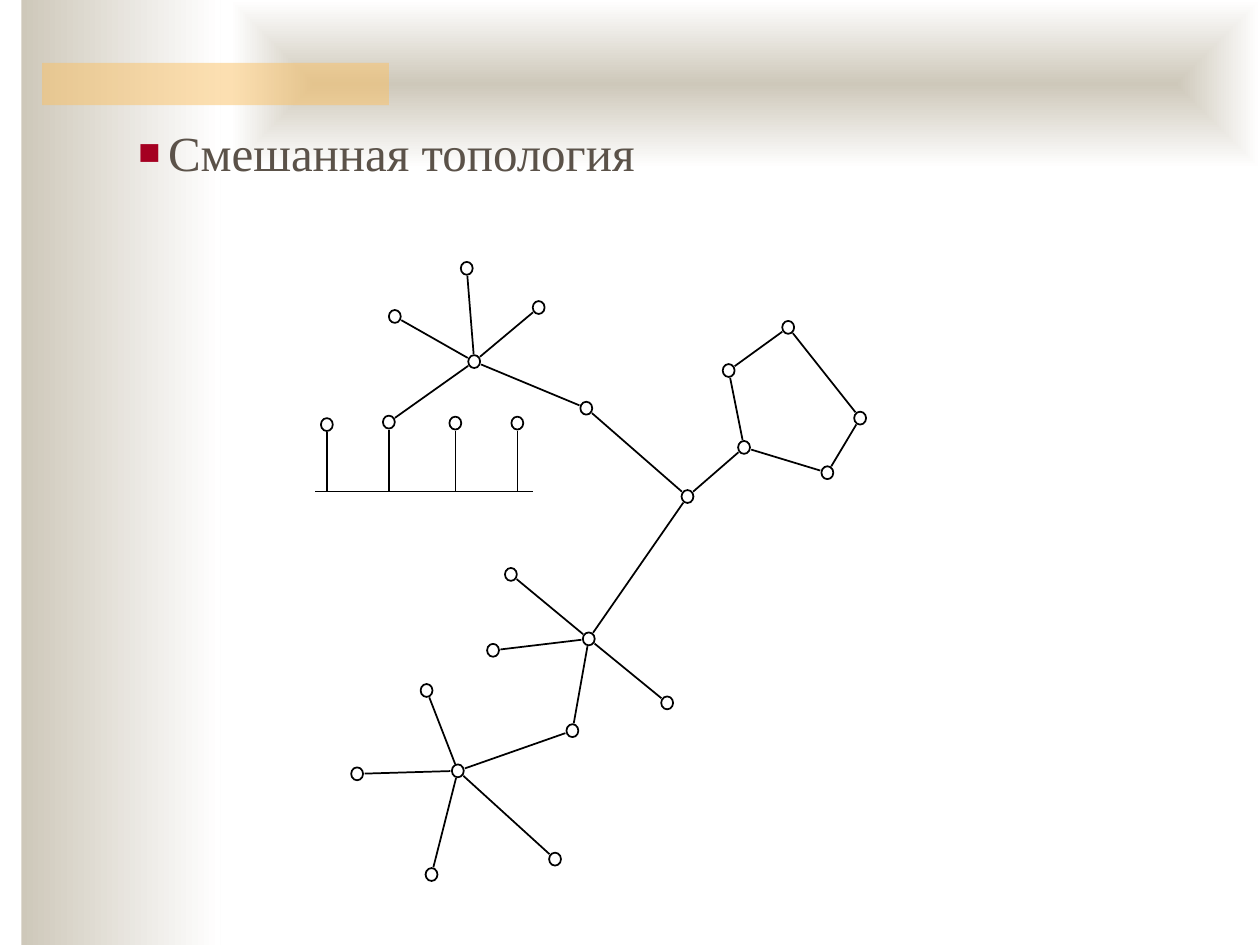
"""Build a slide that shows a mixed network topology."""
from math import hypot

from lxml.etree import SubElement
from pptx import Presentation
from pptx.dml.color import RGBColor
from pptx.enum.shapes import MSO_CONNECTOR, MSO_SHAPE
from pptx.oxml import parse_xml
from pptx.oxml.ns import nsdecls, qn
from pptx.util import Cm, Pt

HEADING = "Смешанная топология"
NODES = {
    "star1": (9.56, 7.29), "star1_left": (7.96, 6.38), "star1_top": (9.41, 5.41),
    "star1_right": (10.86, 6.2), "link": (11.82, 8.23),
    "bus1": (6.59, 8.56), "bus2": (7.84, 8.51), "bus3": (9.18, 8.53), "bus4": (10.43, 8.53),
    "centre": (13.86, 10.01),
    "ring1": (15, 9.02), "ring2": (14.69, 7.47), "ring3": (15.89, 6.6),
    "ring4": (17.34, 8.43), "ring5": (16.68, 9.53),
    "star2": (11.87, 12.88), "star2_top": (10.3, 11.58), "star2_left": (9.94, 13.11),
    "star2_right": (13.45, 14.17), "star2_bottom": (11.54, 14.73),
    "star3": (9.23, 15.54), "star3_top": (8.6, 13.92), "star3_left": (7.2, 15.6),
    "star3_bottom": (8.7, 17.63), "star3_right": (11.19, 17.32),
}
LINKS = {
    "star1": ["star1_left", "star1_top", "star1_right", "bus2", "link"],
    "centre": ["link", "ring1", "star2"],
    "star2": ["star2_top", "star2_left", "star2_right", "star2_bottom"],
    "star3": ["star3_top", "star3_left", "star3_bottom", "star3_right", "star2_bottom"],
}
RING = ["ring1", "ring2", "ring3", "ring4", "ring5"]
BUS = ["bus1", "bus2", "bus3", "bus4"]
BUS_LEFT, BUS_RIGHT, BUS_Y = 6.35, 10.74, 9.91
NODE_W, NODE_H, GAP = 0.24, 0.26, 0.15

BLACK = RGBColor(0x00, 0x00, 0x00)
WHITE = RGBColor(0xFF, 0xFF, 0xFF)
SAND = RGBColor(0xCE, 0xC8, 0xBA)
ORANGE = RGBColor(0xFA, 0xC1, 0x64)
BROWN = RGBColor(0x5B, 0x52, 0x49)
BULLET_RED = RGBColor(0xA5, 0x00, 0x21)


def add_shape(s, kind, x, y, w, h):
    shape = s.shapes.add_shape(kind, Cm(x), Cm(y), Cm(w), Cm(h))
    shape.shadow.inherit = False
    return shape


def add_band(s, x, y, w, h):
    band = add_shape(s, MSO_SHAPE.RECTANGLE, x, y, w, h)
    band.line.fill.background()
    band.fill.gradient()
    band.fill.gradient_angle = 0
    for stop, color in zip(band.fill.gradient_stops, (SAND, WHITE)):
        stop.color.rgb = color
    return band


def add_background(s):
    add_band(s, 0.43, 0, 4.02, 19.05)
    top = add_band(s, 4.65, 0, 20.75, 3.39)
    lin = top.element.spPr.find(".//" + qn("a:lin"))
    lin.getparent().replace(lin, parse_xml(
        f'<a:path {nsdecls("a")} path="shape">'
        '<a:fillToRect l="50000" t="50000" r="50000" b="50000"/></a:path>'))
    bar = add_shape(s, MSO_SHAPE.RECTANGLE, 0.85, 1.27, 6.99, 0.85)
    bar.line.fill.background()
    bar.fill.solid()
    bar.fill.fore_color.rgb = ORANGE
    SubElement(bar.element.spPr.find(".//" + qn("a:srgbClr")), qn("a:alpha"), val="50000")


def add_line(s, start, end):
    line = s.shapes.add_connector(MSO_CONNECTOR.STRAIGHT, *map(Cm, start + end))
    line.line.color.rgb = BLACK
    line.line.width = Pt(1)
    SubElement(line.element.spPr, qn("a:effectLst"))


def toward(start, end):
    """Return the point where a line leaves the node at start."""
    dx, dy = end[0] - start[0], end[1] - start[1]
    share = GAP / hypot(dx, dy)
    return start[0] + dx * share, start[1] + dy * share


def add_network(s):
    pairs = [(hub, node) for hub, ends in LINKS.items() for node in ends]
    pairs += zip(RING, RING[1:] + RING[:1])
    for a, b in pairs:
        start, end = NODES[a], NODES[b]
        add_line(s, toward(start, end), toward(end, start))
    add_line(s, (BUS_LEFT, BUS_Y), (BUS_RIGHT, BUS_Y))
    for name in BUS:
        foot = (NODES[name][0], BUS_Y)
        add_line(s, toward(NODES[name], foot), foot)
    for x, y in NODES.values():
        node = add_shape(s, MSO_SHAPE.OVAL, x - NODE_W / 2, y - NODE_H / 2, NODE_W, NODE_H)
        node.fill.background()
        node.line.color.rgb = BLACK
        node.line.width = Pt(1)


def add_heading(s):
    tf = s.shapes.add_textbox(Cm(2.54), Cm(2.34), Cm(20.96), Cm(1.45)).text_frame
    tf.word_wrap = True
    tf.text = HEADING
    p = tf.paragraphs[0]
    pPr = p._p.get_or_add_pPr()
    pPr.set("marL", str(Cm(0.6)))
    pPr.set("indent", str(-Cm(0.6)))
    SubElement(SubElement(pPr, qn("a:buClr")), qn("a:srgbClr"), val=str(BULLET_RED))
    SubElement(pPr, qn("a:buSzPct"), val="75000")
    SubElement(pPr, qn("a:buFont"), typeface="Times New Roman")
    SubElement(pPr, qn("a:buChar"), char="■")
    r = p.runs[0]
    r.font.name = "Times New Roman"
    r.font.size = Pt(28)
    r.font.color.rgb = BROWN


def main():
    prs = Presentation()
    prs.slide_width, prs.slide_height = Cm(25.4), Cm(19.05)
    s = prs.slides.add_slide(prs.slide_layouts[6])
    add_background(s)
    add_network(s)
    add_heading(s)
    prs.save("out.pptx")


if __name__ == "__main__":
    main()
